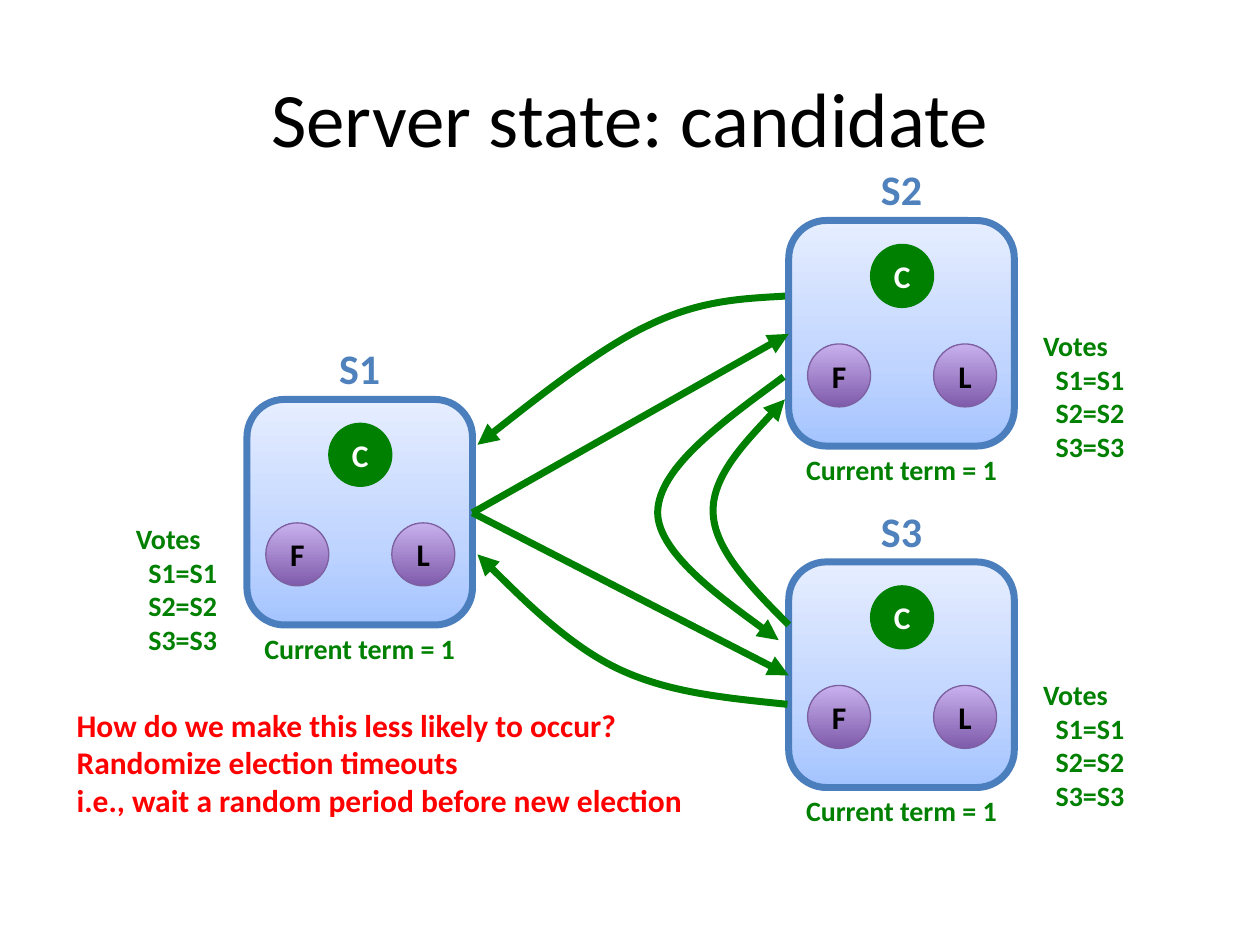
import copy

import pptx
import pptx.dml.color
import pptx.enum.shapes
import pptx.enum.text
import pptx.oxml
import pptx.oxml.ns
import pptx.util

Inches = pptx.util.Inches
Pt = pptx.util.Pt
RGB = pptx.dml.color.RGBColor.from_string
SHAPE = pptx.enum.shapes.MSO_SHAPE
ALIGN = pptx.enum.text.PP_ALIGN
ANCHOR = pptx.enum.text.MSO_ANCHOR

COLORS = {
    "black": "000000", "white": "FFFFFF", "red": "FF0000", "green": "008000",
    "label": "4F81BD", "box_line": "4B7EBC", "state_line": "7D60A0",
}
BOX_STOPS = [(0, "A4C4FF"), (0.35, "BFD4FF"), (1, "E6EEFF")]
STATE_STOPS = [(0, "7F5BAB"), (1, "C8B0ED")]


def write(frame, text, size=16, color="green", bold=True, align=ALIGN.LEFT,
          anchor=ANCHOR.TOP, wrap=True, indent=0):
    frame.word_wrap = wrap
    frame.vertical_anchor = anchor
    for number, line in enumerate(text.split("\n")):
        paragraph = frame.add_paragraph() if number else frame.paragraphs[0]
        if number and indent:
            paragraph._p.get_or_add_pPr().set("marL", str(Inches(indent)))
        paragraph.alignment = align
        run = paragraph.add_run()
        run.text = line
        run.font.name = "Calibri"
        run.font.size = Pt(size)
        run.font.bold = bold
        run.font.color.rgb = RGB(COLORS[color])


def add_filled(kind, left, top, size, stops, line, width):
    shape = slide.shapes.add_shape(kind, Inches(left), Inches(top), Inches(size), Inches(size))
    shape.shadow.inherit = False
    shape.line.color.rgb = RGB(COLORS[line])
    shape.line.width = Pt(width)
    if len(stops) == 1:
        shape.fill.solid()
        shape.fill.fore_color.rgb = RGB(stops[0][1])
        return shape
    shape.fill.gradient()
    shape.fill.gradient_angle = 90
    stop_list = shape.element.xpath(".//a:gsLst")[0]
    while len(stop_list) < len(stops):
        stop_list.append(copy.deepcopy(stop_list[0]))
    for stop, (position, color) in zip(shape.fill.gradient_stops, stops):
        stop.position = position
        stop.color.rgb = RGB(color)
    return shape


deck = pptx.Presentation()
deck.slide_width = Inches(10)
deck.slide_height = Inches(7.5)
slide = deck.slides.add_slide(deck.slide_layouts[5])

title = slide.shapes.title
title.left, title.top, title.width, title.height = map(Inches, (0.5, 0.3, 9, 1.25))
write(title.text_frame, "Server state: candidate", size=44, color="black", bold=False,
      align=ALIGN.CENTER, anchor=ANCHOR.MIDDLE)

box_size = 1.79
states = [
    ("F", 0.15, 0.98, STATE_STOPS, "state_line", "black"),
    ("L", 1.15, 0.98, STATE_STOPS, "state_line", "black"),
    ("C", 0.65, 0.19, [(0, COLORS["green"])], "green", "white"),
]
servers = [
    ("S1", 1.96, 3.17, 0.98, 4.09),
    ("S2", 6.26, 1.75, 8.18, 2.56),
    ("S3", 6.26, 4.46, 8.18, 5.33),
]
for name, left, top, votes_left, votes_top in servers:
    add_filled(SHAPE.ROUNDED_RECTANGLE, left, top, box_size, BOX_STOPS, "box_line", 4)
    for letter, dx, dy, stops, line, color in states:
        state = add_filled(SHAPE.OVAL, left + dx, top + dy, 0.5, stops, line, 0.75)
        write(state.text_frame, letter, size=18, color=color,
              align=ALIGN.CENTER, anchor=ANCHOR.MIDDLE)
    label = slide.shapes.add_textbox(Inches(left), Inches(top - 0.5), Inches(box_size), Inches(0.5))
    write(label.text_frame, name, size=24, color="label", align=ALIGN.CENTER)
    term = slide.shapes.add_textbox(
        Inches(left), Inches(top + box_size), Inches(box_size), Inches(0.37))
    write(term.text_frame, "Current term = 1", align=ALIGN.CENTER)
    votes = slide.shapes.add_textbox(
        Inches(votes_left), Inches(votes_top), Inches(0.9), Inches(1.18))
    write(votes.text_frame, "Votes\nS1=S1\nS2=S2\nS3=S3", indent=0.1)

question = slide.shapes.add_textbox(Inches(0.51), Inches(5.55), Inches(5.06), Inches(1.01))
write(question.text_frame,
      "How do we make this less likely to occur?\n"
      "Randomize election timeouts\n"
      "i.e., wait a random period before new election",
      size=18, color="red", wrap=False)

requests = []
for end_y in (2.65, 5.36):
    requests.append(slide.shapes.add_connector(
        pptx.enum.shapes.MSO_CONNECTOR.STRAIGHT,
        Inches(3.75), Inches(4.07), Inches(6.26), Inches(end_y)))

curves = [
    [(6.26, 4.96), (5.96, 4.66), (5.66, 4.35), (5.66, 4.06), (5.65, 3.76), (6.23, 3.17), (6.23, 3.17)],
    [(6.25, 5.59), (5.77, 5.54), (5.3, 5.5), (4.89, 5.3), (4.48, 5.1), (3.79, 4.4), (3.79, 4.4)],
    [(6.23, 2.35), (5.9, 2.37), (5.56, 2.38), (5.15, 2.58), (4.74, 2.77), (3.79, 3.53), (3.79, 3.53)],
    [(6.22, 2.99), (5.73, 3.35), (5.23, 3.71), (5.22, 4.06), (5.21, 4.4), (6.18, 5.08), (6.18, 5.08)],
]
for curve in curves:
    points = [(Inches(x), Inches(y)) for x, y in curve]
    builder = slide.shapes.build_freeform(*points[0])
    builder.add_line_segments(points[1:], close=False)
    request = builder.convert_to_shape()
    request.fill.background()
    request.shadow.inherit = False
    outline = request.element.xpath(".//a:path")[0]
    segments = outline.xpath("a:lnTo")
    for first in range(0, len(segments), 3):
        bezier = pptx.oxml.parse_xml(
            f"<a:cubicBezTo {pptx.oxml.ns.nsdecls('a')}/>")
        outline.append(bezier)
        for segment in segments[first:first + 3]:
            bezier.append(segment[0])
            outline.remove(segment)
    requests.append(request)

for request in requests:
    request.line.color.rgb = RGB(COLORS["green"])
    request.line.width = Pt(4)
    stroke = request.line._get_or_add_ln()
    stroke.append(pptx.oxml.parse_xml(
        f"<a:tailEnd {pptx.oxml.ns.nsdecls('a')} type='triangle'/>"))
    properties = stroke.getparent()
    if not properties.xpath("a:effectLst"):
        properties.append(pptx.oxml.parse_xml(f"<a:effectLst {pptx.oxml.ns.nsdecls('a')}/>"))

deck.save("out.pptx")
